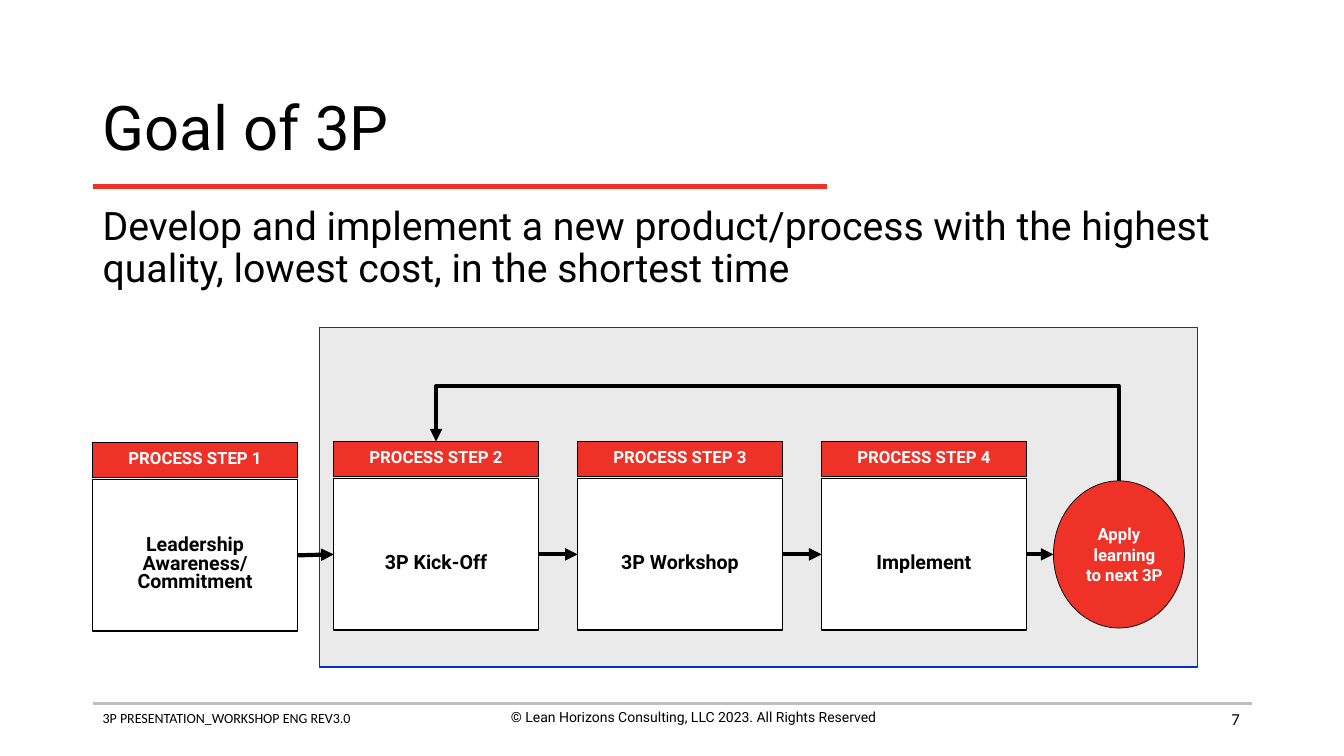
from lxml import etree
from pptx import Presentation
from pptx.dml.color import RGBColor
from pptx.enum.shapes import MSO_CONNECTOR as Link, MSO_SHAPE as Preset
from pptx.enum.text import MSO_ANCHOR as Anchor, PP_ALIGN as Align
from pptx.oxml.ns import qn
from pptx.util import Inches, Pt

SLIDE_WIDTH, SLIDE_HEIGHT = Inches(13.33), Inches(7.5)
# The page is a grid of 100 columns by 100 rows.
COLUMN, ROW = SLIDE_WIDTH / 100, SLIDE_HEIGHT / 100
COLORS = {"red": "EE3228", "black": "000000", "white": "FFFFFF",
          "panel": "EAEAEA", "blue": "0033CC", "rule": "BFBFBF"}
LEFT, RIGHT = 6.9, 93.15
STEP_LEFT, STEP_PITCH, STEP_WIDTH = 24.83, 18.15, 15.23
HEAD_TOP, HEAD_HEIGHT = 58.4, 4.67
BODY_TOP, BODY_HEIGHT = 63.33, 20
LOOP_LEFT, LOOP_TOP, LOOP_WIDTH, LOOP_HEIGHT = 78.38, 63.6, 9.75, 19.47
STEPS = ["Leadership\nAwareness/ Commitment", "3P Kick-Off", "3P Workshop", "Implement"]


def cols(count):
    return round(count * COLUMN)


def rows(count):
    return round(count * ROW)


def area(left, top, width, height):
    return cols(left), rows(top), cols(width), rows(height)


def rgb(name):
    return RGBColor.from_string(COLORS[name])


def set_all(target, **values):
    for name, value in values.items():
        setattr(target, name, value)


def write(box, text, size, color="black", font="Roboto", bold=False,
          align=Align.LEFT, spacing=1.0, **frame_format):
    """Put one formatted paragraph into a box; line ends become line breaks."""
    frame = box.text_frame
    set_all(frame, **{"word_wrap": True, "vertical_anchor": Anchor.TOP, **frame_format})
    para = frame.paragraphs[0]
    para.text = text
    set_all(para, alignment=align, line_spacing=spacing)
    for span in para.runs:
        set_all(span.font, name=font, size=Pt(size), bold=bold)
        span.font.color.rgb = rgb(color)
    return para


def add_text(page, place, text, size, **text_format):
    write(page.shapes.add_textbox(*area(*place)), text, size, **text_format)


def add_block(page, preset, place, fill, line, weight):
    block = page.shapes.add_shape(preset, *area(*place))
    block.shadow.inherit = False
    block.fill.solid()
    block.fill.fore_color.rgb = rgb(fill)
    block.line.color.rgb = rgb(line)
    block.line.width = Pt(weight)
    return block


def add_line(page, start, end, color="black", weight=3, arrow=False, kind=Link.STRAIGHT):
    """Draw a connector between two points given in EMU."""
    link = page.shapes.add_connector(kind, *start, *end)
    link.line.color.rgb = rgb(color)
    link.line.width = Pt(weight)
    if arrow:
        etree.SubElement(link.line._get_or_add_ln(), qn("a:tailEnd"), type="triangle")
    etree.SubElement(link._element.spPr, qn("a:effectLst"))
    return link


def add_rule(page, row, right, color, weight):
    add_line(page, (cols(LEFT), rows(row)), (cols(right), rows(row)), color, weight)


def add_step(page, number, text):
    """Draw a step's body and red heading; return the body for its arrows."""
    first = number == 1
    left = LEFT if first else STEP_LEFT + (number - 2) * STEP_PITCH
    drop = 0.13 if first else 0
    body = add_block(page, Preset.RECTANGLE,
                     (left, BODY_TOP + drop, STEP_WIDTH, BODY_HEIGHT), "white", "black", 1)
    shared = {"bold": True, "align": Align.CENTER, "spacing": 0.8,
              "vertical_anchor": Anchor.MIDDLE}
    write(body, text, 14, word_wrap=first, margin_top=Inches(0.23), **shared)
    head = add_block(page, Preset.RECTANGLE,
                     (left, HEAD_TOP + drop, STEP_WIDTH, HEAD_HEIGHT), "red", "black", 1)
    write(head, f"PROCESS STEP {number}", 12, "white", word_wrap=False, **shared)
    return body


def add_learning_circle(page):
    circle = add_block(page, Preset.OVAL, (LOOP_LEFT, LOOP_TOP, LOOP_WIDTH, LOOP_HEIGHT),
                       "red", "black", 0.5)
    margin = Inches(0.05)
    para = write(circle, "Apply\nlearning\nto next 3P", 12, "white", bold=True,
                 align=Align.CENTER, vertical_anchor=Anchor.MIDDLE, word_wrap=False,
                 margin_left=margin, margin_right=margin,
                 margin_top=margin, margin_bottom=margin)
    hanging = para._p.get_or_add_pPr()
    hanging.set("marL", str(Inches(0.11)))
    hanging.set("indent", str(-Inches(0.11)))
    return circle


def add_return_arrow(page, start, end, peak):
    """Bend an arrow up from start to the peak height, across and down to end."""
    (start_x, start_y), (end_x, end_y) = start, end
    center_x, center_y = (start_x + end_x) // 2, (start_y + end_y) // 2
    half_rise, half_run = (start_y - end_y) // 2, (start_x - end_x) // 2
    link = add_line(page, (center_x - half_rise, center_y + half_run),
                    (center_x + half_rise, center_y - half_run),
                    arrow=True, kind=Link.ELBOW)
    properties = link._element.spPr
    properties.find(qn("a:xfrm")).set("rot", str(270 * 60000))
    geometry = properties.find(qn("a:prstGeom"))
    guides = geometry.find(qn("a:avLst"))
    if guides is None:
        guides = etree.SubElement(geometry, qn("a:avLst"))
    bend = round((start_y - peak) / (start_y - end_y) * 100000)
    etree.SubElement(guides, qn("a:gd"), name="adj1", fmla=f"val {bend}")


def add_process(page):
    add_block(page, Preset.RECTANGLE, (23.78, 43.33, 65.33, 44.93), "panel", "blue", 1)
    circle = add_learning_circle(page)
    bodies = [add_step(page, number, text) for number, text in enumerate(STEPS, 1)]
    middle = rows(BODY_TOP + BODY_HEIGHT / 2)
    for body, target in zip(bodies, bodies[1:] + [circle]):
        arrow = add_line(page, (body.left + body.width, middle), (target.left, middle),
                         arrow=True)
        arrow.begin_connect(body, 3)
        if target is not circle:
            arrow.end_connect(target, 1)
    add_return_arrow(page, (circle.left + circle.width // 2, circle.top),
                     (cols(STEP_LEFT + STEP_WIDTH / 2), rows(HEAD_TOP)), rows(51.07))


def add_footer(page):
    add_rule(page, 93.07, RIGHT, "rule", 2)
    add_text(page, (LEFT, 93.2, 34.2, 5.87), "3P PRESENTATION_WORKSHOP ENG REV3.0", 10,
             font="Calibri")
    add_text(page, (34.5, 93.07, 34.2, 5.87),
             "© Lean Horizons Consulting, LLC 2023. All Rights Reserved", 10,
             align=Align.CENTER)
    add_text(page, (70.5, 92.4, 22.5, 5.33), "7", 12, font="Calibri", align=Align.RIGHT,
             vertical_anchor=Anchor.MIDDLE)


def main():
    deck = Presentation()
    set_all(deck, slide_width=SLIDE_WIDTH, slide_height=SLIDE_HEIGHT)
    page = deck.slides.add_slide(deck.slide_layouts[6])
    add_footer(page)
    add_rule(page, 24.67, 61.5, "red", 3)
    add_text(page, (LEFT, 9.87, RIGHT - LEFT, 14.67), "Goal of 3P", 44, spacing=0.9,
             vertical_anchor=Anchor.MIDDLE)
    add_text(page, (LEFT, 26.67, RIGHT - LEFT, 14),
             "Develop and implement a new product/process with the highest quality, "
             "lowest cost, in the shortest time", 28, spacing=0.9)
    add_process(page)
    deck.save("out.pptx")


if __name__ == "__main__":
    main()
